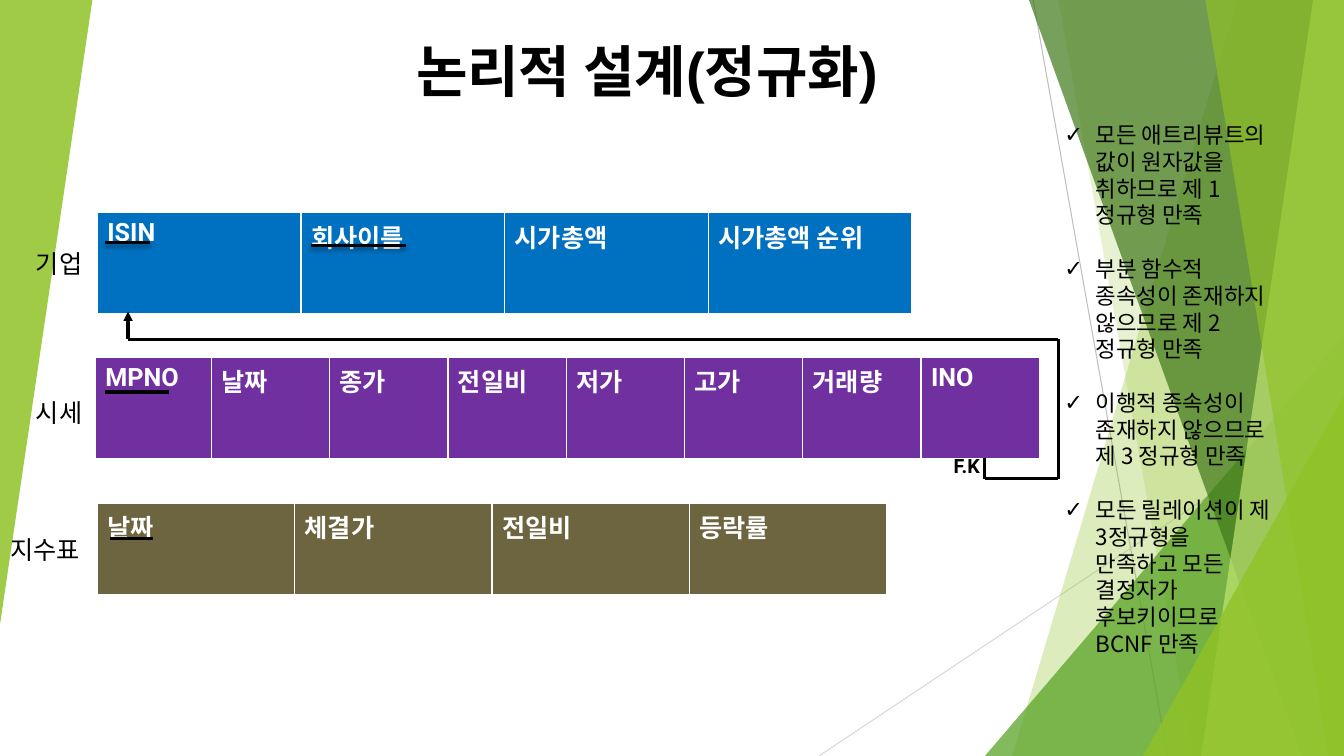
"""Build the slide on the logical design (normalisation) of a stock database."""
from dataclasses import dataclass
from itertools import pairwise

from lxml.etree import SubElement
from pptx import Presentation
from pptx.dml.color import RGBColor
from pptx.enum.shapes import MSO_CONNECTOR, MSO_SHAPE
from pptx.enum.text import MSO_ANCHOR, MSO_AUTO_SIZE, PP_ALIGN
from pptx.oxml.ns import qn
from pptx.util import Pt

WIDTH, HEIGHT = 960, 540


@dataclass(frozen=True)
class Theme:
    ink: str = "000000"
    white: str = "FFFFFF"
    lime: str = "90C226"
    pale_lime: str = "C0E474"
    green: str = "54A021"
    dark_green: str = "3F7819"
    grey: str = "BFBFBF"
    light_grey: str = "D9D9D9"
    blue: str = "0070C0"
    purple: str = "7030A0"
    olive: str = "6D6540"
    label_font: str = "Arial"
    table_font: str = "Roboto"
    korean_font: str = "Noto Sans CJK KR"
    title_size: int = 40
    label_size: int = 18
    body_size: int = 16
    key_size: int = 14


THEME = Theme()


def add_xml(parent, tag, **attributes):
    return SubElement(parent, qn(tag), {name: str(value) for name, value in attributes.items()})


def write_text(paragraph, text, *, size, font, color=THEME.ink, bold=False, spacing=1.0, after=0):
    paragraph.alignment = PP_ALIGN.LEFT
    paragraph.line_spacing = spacing
    paragraph.space_before, paragraph.space_after = Pt(0), Pt(after)
    run = paragraph.add_run()
    run.text = text
    run.font.size, run.font.bold, run.font.name = Pt(size), bold, font
    run.font.color.rgb = RGBColor.from_string(color)
    add_xml(run.font._element, "a:ea", typeface=THEME.korean_font)


class SlideBuilder:
    def __init__(self, slide, theme):
        self.slide, self.shapes, self.theme = slide, slide.shapes, theme

    def paint(self, shape, color, opacity):
        shape.shadow.inherit = False
        shape.fill.solid()
        shape.fill.fore_color.rgb = RGBColor.from_string(color)
        shape.line.fill.background()
        color_element = shape.element.spPr.find(qn("a:solidFill"))[0]
        add_xml(color_element, "a:alpha", val=opacity * 1000)

    def band(self, top_x, bottom_x, color, opacity):
        builder = self.shapes.build_freeform(top_x, 0, scale=Pt(1))
        builder.add_line_segments([(WIDTH, 0), (WIDTH, HEIGHT), (bottom_x, HEIGHT)])
        self.paint(builder.convert_to_shape(), color, opacity)

    def triangle(self, box, color, opacity, rotation=0):
        shape = self.shapes.add_shape(MSO_SHAPE.ISOSCELES_TRIANGLE, *map(Pt, box))
        shape.adjustments[0] = 1
        shape.rotation = rotation
        self.paint(shape, color, opacity)

    def line(self, start, end, color=THEME.ink, width=2.25, arrow=False, shadow=False):
        connector = self.shapes.add_connector(MSO_CONNECTOR.STRAIGHT, *map(Pt, (*start, *end)))
        connector.line.color.rgb = RGBColor.from_string(color)
        connector.line.width = Pt(width)
        properties = connector.element.spPr
        if arrow:
            add_xml(properties.find(qn("a:ln")), "a:tailEnd", type="triangle")
        effects = add_xml(properties, "a:effectLst")
        if shadow:
            outer = add_xml(effects, "a:outerShdw", blurRad=Pt(3), dist=Pt(2), dir=5400000, rotWithShape=0)
            shade = add_xml(outer, "a:srgbClr", val=self.theme.ink)
            add_xml(shade, "a:alpha", val=35000)

    def relation(self, left, top, widths, height, color, names):
        table = self.shapes.add_table(1, len(names), Pt(left), Pt(top), Pt(sum(widths)), Pt(height)).table
        table.horz_banding = False
        table.rows[0].height = Pt(height)
        for column, cell, width, name in zip(table.columns, table.rows[0].cells, widths, names):
            column.width = Pt(width)
            cell.fill.solid()
            cell.fill.fore_color.rgb = RGBColor.from_string(color)
            write_text(cell.text_frame.paragraphs[0], name, size=self.theme.label_size,
                       font=self.theme.table_font, color=self.theme.white, bold=True)

    def label(self, box, text, **style):
        shape = self.shapes.add_textbox(*map(Pt, box))
        shape.text_frame.word_wrap = True
        write_text(shape.text_frame.paragraphs[0], text, **style)

    def place(self, placeholder, box, wrap):
        placeholder.left, placeholder.top, placeholder.width, placeholder.height = map(Pt, box)
        placeholder.element.getparent().append(placeholder.element)
        frame = placeholder.text_frame
        frame.word_wrap, frame.auto_size = wrap, MSO_AUTO_SIZE.NONE
        frame.vertical_anchor = MSO_ANCHOR.TOP
        return frame

    def title(self, box, text):
        frame = self.place(self.shapes.title, box, wrap=False)
        write_text(frame.paragraphs[0], text, size=self.theme.title_size,
                   font=self.theme.label_font, bold=True)

    def checklist(self, box, items):
        frame = self.place(self.slide.placeholders[1], box, wrap=True)
        for index, item in enumerate(items):
            paragraph = frame.add_paragraph() if index else frame.paragraphs[0]
            write_text(paragraph, item, size=self.theme.body_size, font=self.theme.korean_font,
                       spacing=Pt(19.15), after=19.15)
            properties = paragraph._p.get_or_add_pPr()
            properties.set("marL", str(Pt(22.5)))
            properties.set("indent", str(-Pt(22.5)))
            add_xml(properties, "a:buChar", char="✓")


def draw_background(builder):
    theme = builder.theme
    builder.line((738, 0), (834, HEIGHT), theme.grey, 0.75)
    builder.line((WIDTH, 290), (585, HEIGHT), theme.light_grey, 0.75)
    builder.band(884, 723, theme.lime, 30)
    builder.band(756, 852, theme.lime, 20)
    builder.triangle((703.5, 240, 256.5, 300), theme.green, 72)
    builder.band(735, 929.5, theme.dark_green, 70)
    builder.band(938, 858, theme.pale_lime, 70)
    builder.band(861, 949, theme.lime, 65)
    builder.triangle((816.5, 283, 143.5, 257), theme.lime, 80)
    builder.triangle((0, 0, 66, 446), theme.lime, 85, rotation=180)


def main():
    presentation = Presentation()
    presentation.slide_width, presentation.slide_height = Pt(WIDTH), Pt(HEIGHT)
    theme = THEME
    builder = SlideBuilder(presentation.slides.add_slide(presentation.slide_layouts[1]), theme)
    draw_background(builder)

    builder.relation(69.5, 152, [145.5] * 4, 72, theme.blue, ["ISIN", "회사이름", "시가총액", "시가총액 순위"])
    builder.relation(68, 255.5, [83] + [84.5] * 7, 72, theme.purple,
                     ["MPNO", "날짜", "종가", "전일비", "저가", "고가", "거래량", "INO"])
    builder.relation(69.5, 359.5, [141] * 4, 65.5, theme.olive, ["날짜", "체결가", "전일비", "등락률"])

    for left, top, width, name in [(18.5, 173.5, 51, "기업"), (18.5, 280, 51, "시세"), (0.5, 378, 69, "지수표")]:
        builder.label((left, top, width, 29), name, size=theme.label_size, font=theme.label_font)
    builder.label((674, 320.5, 46, 24.5), "F.K", size=theme.key_size, font=theme.table_font, bold=True)

    for left, right, y, shadow in [(75, 107.5, 173.5, True), (222.5, 290, 175.5, True),
                                   (75, 121, 280, False), (78.5, 109.5, 384.5, False)]:
        builder.line((left, y), (right, y), width=2 if shadow else 2.25, shadow=shadow)

    foreign_key_route = [(703.5, 327.5), (703.5, 342), (756, 342), (756, 242.5), (91.5, 242.5), (91.5, 222.5)]
    for start, end in pairwise(foreign_key_route):
        builder.line(start, end, arrow=end == foreign_key_route[-1])

    builder.title((290, 22.5, 379.5, 55.5), "논리적 설계(정규화)")
    builder.checklist((753, 83, 164.5, 395), [
        "모든 애트리뷰트의 값이 원자값을 취하므로 제 1정규형 만족",
        "부분 함수적 종속성이 존재하지 않으므로 제 2 정규형 만족",
        "이행적 종속성이 존재하지 않으므로 제 3 정규형 만족",
        "모든 릴레이션이 제3정규형을 만족하고 모든 결정자가 후보키이므로 BCNF 만족",
    ])
    presentation.save("out.pptx")


if __name__ == "__main__":
    main()
